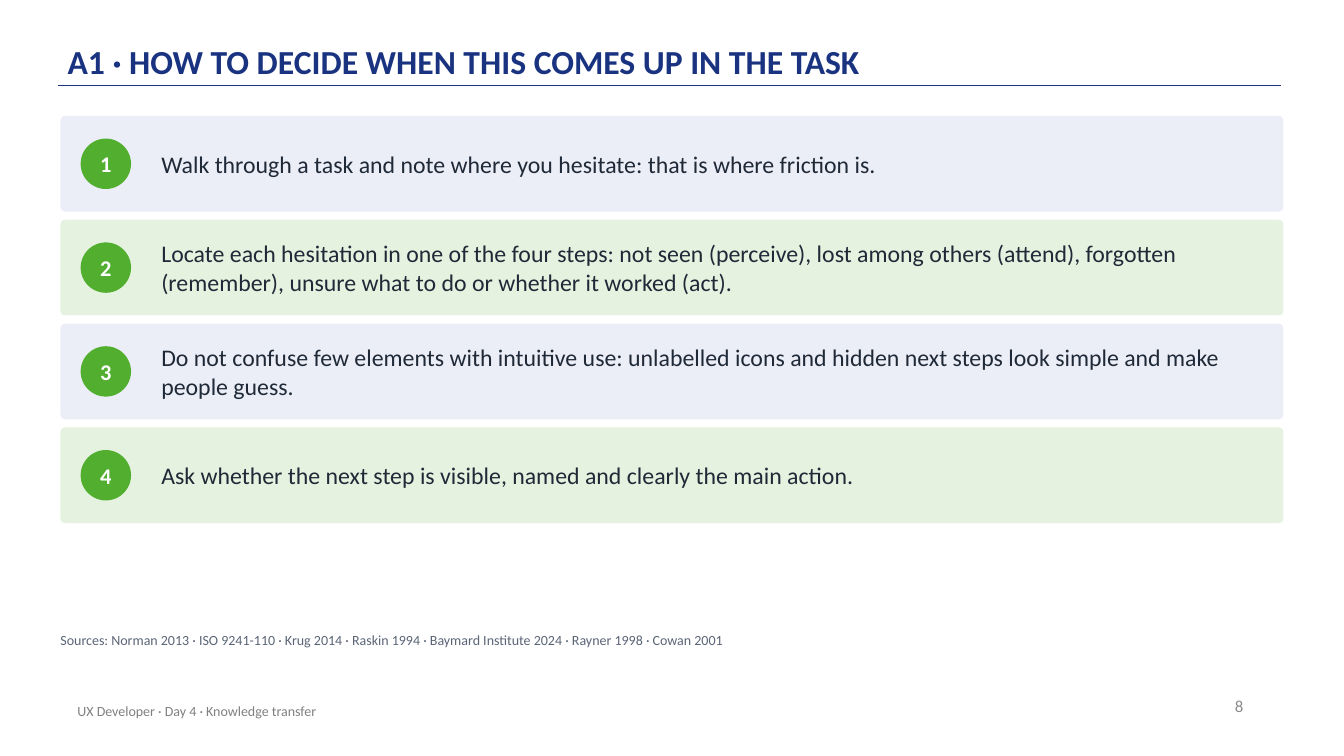
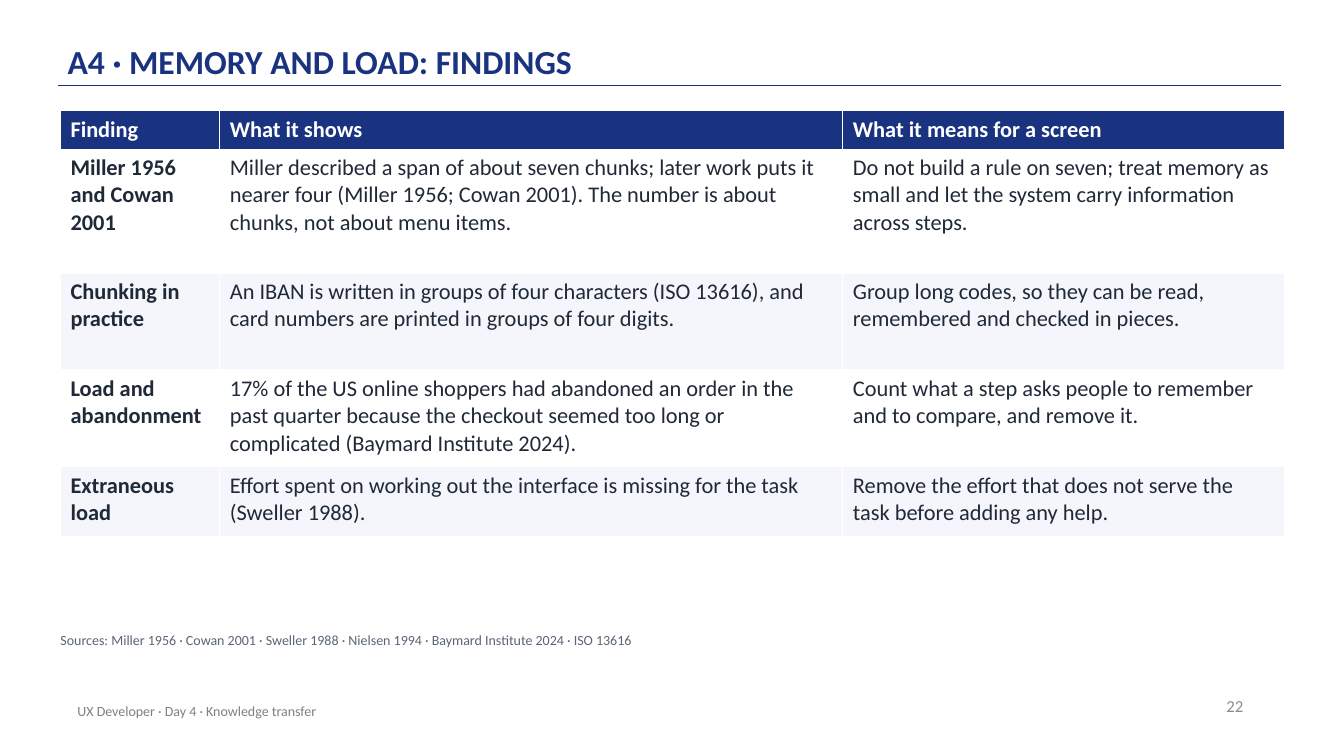
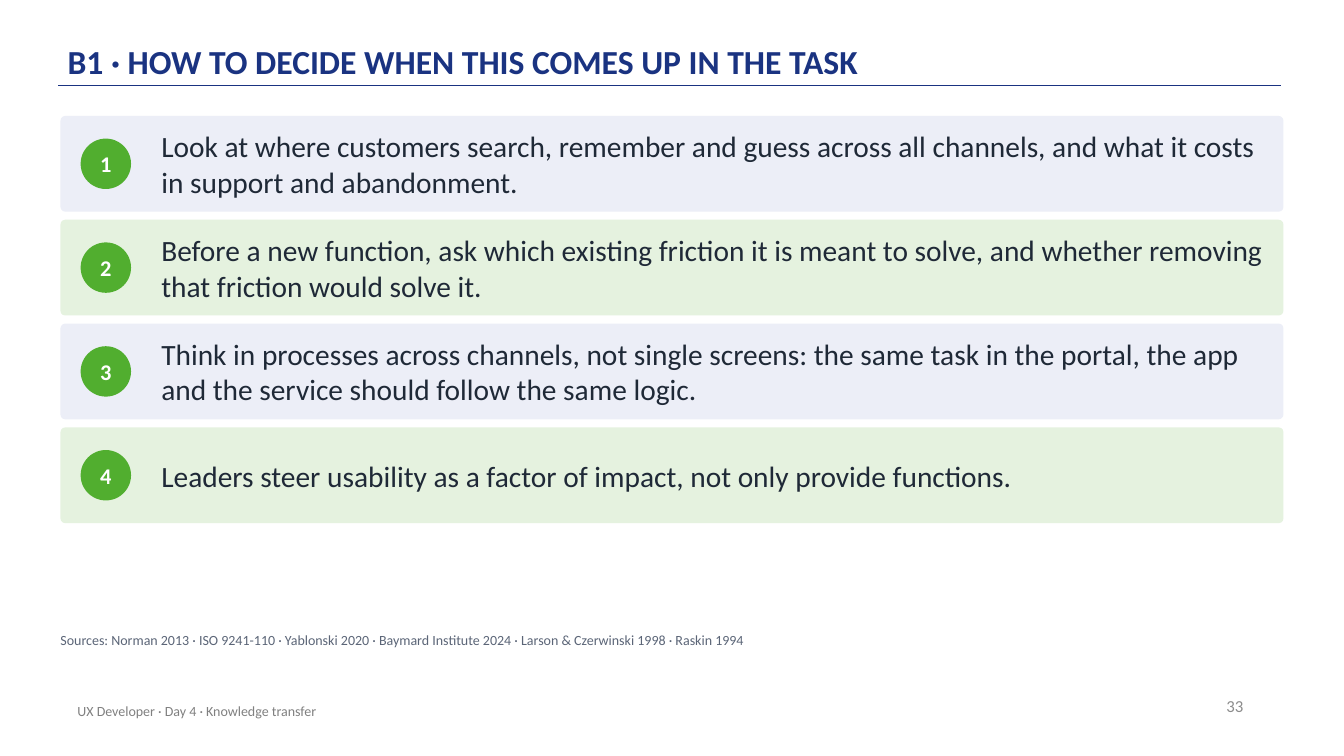
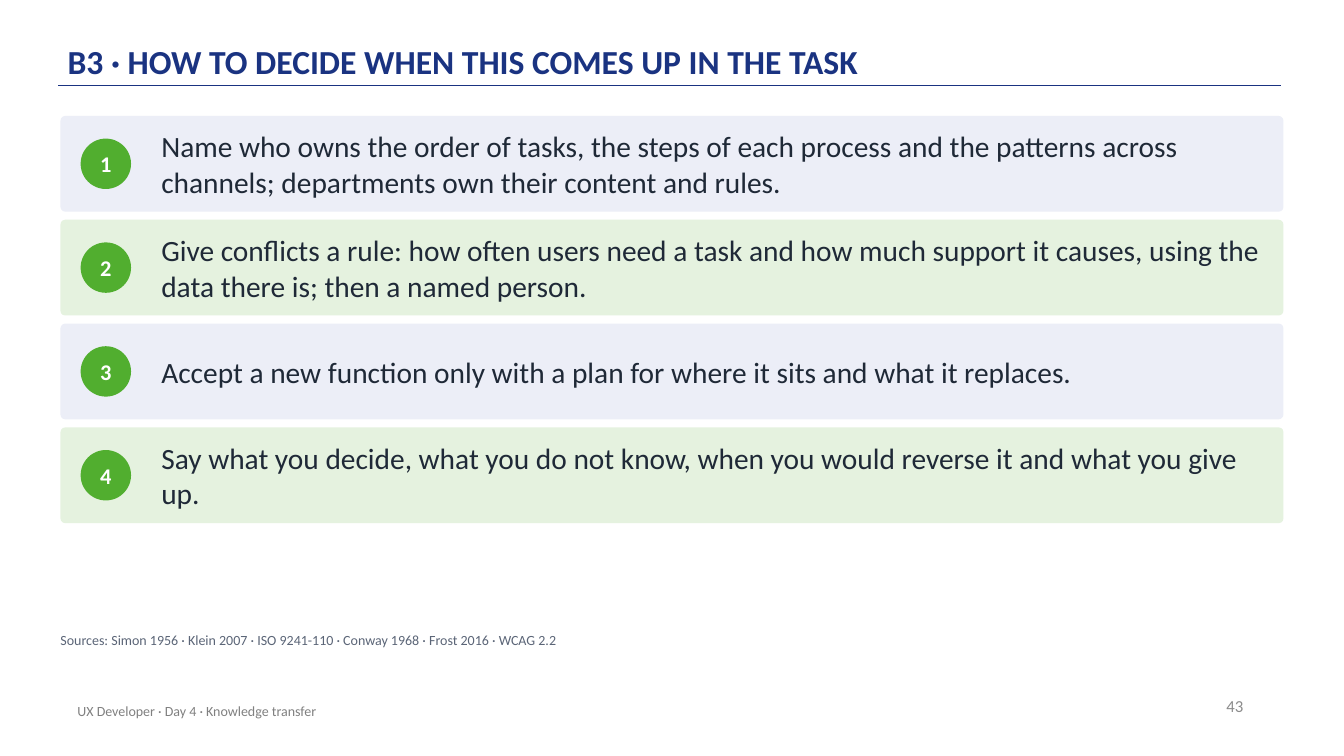
from pptx import Presentation
from pptx.dml.color import RGBColor
from pptx.enum.shapes import MSO_CONNECTOR, MSO_SHAPE
from pptx.enum.text import MSO_ANCHOR, MSO_AUTO_SIZE, PP_ALIGN
from pptx.oxml.ns import qn
from pptx.util import Inches, Pt
from lxml.etree import SubElement

FONT = "Calibri"
NAVY = "1A3381"
GREEN = "51AE2F"
INK = "1F2937"
WHITE = "FFFFFF"
SOURCE_GREY = "5B6577"
FOOTER_GREY = "808080"
NUMBER_GREY = "8C8C8C"
CARD_FILLS = ("ECEEF7", "E5F2DF")
ROW_FILLS = (WHITE, "F4F6FB")

LEFT, WIDTH = 0.6, 12.13
CARD_TOP, CARD_HEIGHT, CARD_GAP = 1.15, 0.95, 0.08
BADGE_SIZE = 0.5
TABLE_TOP = 1.1
COLUMN_WIDTHS = (1.58, 6.18, 4.38)
ROW_HEIGHTS = (0.38, 1.23, 0.96, 0.96, 0.69)

FOOTER = "UX Developer · Day 4 · Knowledge transfer"
DECISION_TITLE = "HOW TO DECIDE WHEN THIS COMES UP IN THE TASK"

A1_STEPS = (
    "Walk through a task and note where you hesitate: that is where friction is.",
    "Locate each hesitation in one of the four steps: not seen (perceive), lost among others "
    "(attend), forgotten (remember), unsure what to do or whether it worked (act).",
    "Do not confuse few elements with intuitive use: unlabelled icons and hidden next steps "
    "look simple and make people guess.",
    "Ask whether the next step is visible, named and clearly the main action.",
)
B1_STEPS = (
    "Look at where customers search, remember and guess across all channels, and what it costs "
    "in support and abandonment.",
    "Before a new function, ask which existing friction it is meant to solve, and whether "
    "removing that friction would solve it.",
    "Think in processes across channels, not single screens: the same task in the portal, the "
    "app and the service should follow the same logic.",
    "Leaders steer usability as a factor of impact, not only provide functions.",
)
B3_STEPS = (
    "Name who owns the order of tasks, the steps of each process and the patterns across "
    "channels; departments own their content and rules.",
    "Give conflicts a rule: how often users need a task and how much support it causes, using "
    "the data there is; then a named person.",
    "Accept a new function only with a plan for where it sits and what it replaces.",
    "Say what you decide, what you do not know, when you would reverse it and what you give up.",
)
FINDINGS = (
    ("Finding", "What it shows", "What it means for a screen"),
    ("Miller 1956 and Cowan 2001",
     "Miller described a span of about seven chunks; later work puts it nearer four (Miller "
     "1956; Cowan 2001). The number is about chunks, not about menu items.",
     "Do not build a rule on seven; treat memory as small and let the system carry information "
     "across steps."),
    ("Chunking in practice",
     "An IBAN is written in groups of four characters (ISO 13616), and card numbers are printed "
     "in groups of four digits.",
     "Group long codes, so they can be read, remembered and checked in pieces."),
    ("Load and abandonment",
     "17% of the US online shoppers had abandoned an order in the past quarter because the "
     "checkout seemed too long or complicated (Baymard Institute 2024).",
     "Count what a step asks people to remember and to compare, and remove it."),
    ("Extraneous load",
     "Effort spent on working out the interface is missing for the task (Sweller 1988).",
     "Remove the effort that does not serve the task before adding any help."),
)


def color(hex_value):
    return RGBColor.from_string(hex_value)


def inches(*lengths):
    return [Inches(length) for length in lengths]


def write(frame, text, size=16, fill=INK, bold=False, align=PP_ALIGN.LEFT,
          space_after=None, line_spacing=None):
    """Set the text of a frame or table cell as one formatted paragraph."""
    frame.text = text
    paragraph = getattr(frame, "text_frame", frame).paragraphs[0]
    paragraph.alignment = align
    if space_after is not None:
        paragraph.space_after = Pt(space_after)
    if line_spacing is not None:
        paragraph.line_spacing = line_spacing
    font = paragraph.font
    font.name, font.size, font.bold = FONT, Pt(size), bold
    font.color.rgb = color(fill)


def set_frame(frame, anchor, margins=None):
    """Wrap and anchor a frame; margins are horizontal and vertical."""
    frame.word_wrap = True
    frame.auto_size = MSO_AUTO_SIZE.NONE
    frame.vertical_anchor = anchor
    if margins is not None:
        horizontal, vertical = inches(*margins)
        frame.margin_left = frame.margin_right = horizontal
        frame.margin_top = frame.margin_bottom = vertical


def add_text(slide, box, text, anchor=MSO_ANCHOR.MIDDLE, margins=None, **style):
    frame = slide.shapes.add_textbox(*inches(*box)).text_frame
    set_frame(frame, anchor, margins)
    write(frame, text, **style)


def add_filled_shape(slide, kind, box, fill):
    shape = slide.shapes.add_shape(kind, *inches(*box))
    shape.shadow.inherit = False
    shape.fill.solid()
    shape.fill.fore_color.rgb = color(fill)
    shape.line.fill.background()
    return shape


def add_title_rule(slide):
    rule = slide.shapes.add_connector(MSO_CONNECTOR.STRAIGHT, *inches(0.58, 0.85, 12.71, 0.85))
    rule.line.color.rgb = color(NAVY)
    rule.line.width = Pt(1)
    SubElement(rule.element.spPr, qn("a:effectLst"))


def add_content_slide(presentation, title, number, sources):
    """Add a slide with the title, rule, footer, number and sources all slides share."""
    slide = presentation.slides.add_slide(presentation.slide_layouts[5])
    add_title_rule(slide)
    heading = slide.shapes.title
    heading.left, heading.top, heading.width, heading.height = inches(0.67, 0.12, 11, 0.72)
    set_frame(heading.text_frame, MSO_ANCHOR.BOTTOM, margins=(0, 0.03))
    write(heading.text_frame, title, size=24, fill=NAVY, bold=True, line_spacing=0.9)
    add_text(slide, (9.43, 6.8, 3, 0.4), str(number), size=12, fill=NUMBER_GREY,
             align=PP_ALIGN.RIGHT)
    add_text(slide, (0.67, 6.85, 6.7, 0.4), FOOTER, size=10, fill=FOOTER_GREY)
    add_text(slide, (LEFT, 6.27, 12.1, 0.3), "Sources: " + " · ".join(sources),
             anchor=MSO_ANCHOR.TOP, margins=(0, 0), size=10, fill=SOURCE_GREY, space_after=6)
    return slide


def add_step_card(slide, index, text, size):
    top = CARD_TOP + index * (CARD_HEIGHT + CARD_GAP)
    card = add_filled_shape(slide, MSO_SHAPE.ROUNDED_RECTANGLE,
                            (LEFT, top, WIDTH, CARD_HEIGHT), CARD_FILLS[index % 2])
    card.adjustments[0] = 0.05
    badge_top = top + (CARD_HEIGHT - BADGE_SIZE) / 2
    badge = add_filled_shape(slide, MSO_SHAPE.OVAL,
                             (LEFT + 0.2, badge_top, BADGE_SIZE, BADGE_SIZE), GREEN)
    set_frame(badge.text_frame, MSO_ANCHOR.MIDDLE, margins=(0, 0))
    write(badge.text_frame, str(index + 1), fill=WHITE, bold=True, align=PP_ALIGN.CENTER)
    add_text(slide, (LEFT + 1, top, WIDTH - 1.2, CARD_HEIGHT), text, margins=(0, 0), size=size)


def add_decision_slide(presentation, section, number, steps, sources, size=21):
    slide = add_content_slide(presentation, f"{section} · {DECISION_TITLE}", number, sources)
    for index, text in enumerate(steps):
        add_step_card(slide, index, text, size)


def add_findings_table(slide, rows):
    box = inches(LEFT, TABLE_TOP, WIDTH, sum(ROW_HEIGHTS))
    table = slide.shapes.add_table(len(rows), len(COLUMN_WIDTHS), *box).table
    table.horz_banding = False
    for column, width in zip(table.columns, COLUMN_WIDTHS):
        column.width = Inches(width)
    for row_index, (row, height, texts) in enumerate(zip(table.rows, ROW_HEIGHTS, rows)):
        row.height = Inches(height)
        header = row_index == 0
        for column_index, (cell, text) in enumerate(zip(row.cells, texts)):
            cell.fill.solid()
            cell.fill.fore_color.rgb = color(NAVY if header else ROW_FILLS[(row_index - 1) % 2])
            write(cell, text, fill=WHITE if header else INK, bold=header or column_index == 0)


def main():
    presentation = Presentation()
    presentation.slide_width, presentation.slide_height = inches(13.33, 7.5)
    add_decision_slide(presentation, "A1", 8, A1_STEPS, (
        "Norman 2013", "ISO 9241-110", "Krug 2014", "Raskin 1994", "Baymard Institute 2024",
        "Rayner 1998", "Cowan 2001"), size=17)
    findings = add_content_slide(presentation, "A4 · MEMORY AND LOAD: FINDINGS", 22, (
        "Miller 1956", "Cowan 2001", "Sweller 1988", "Nielsen 1994", "Baymard Institute 2024",
        "ISO 13616"))
    add_findings_table(findings, FINDINGS)
    add_decision_slide(presentation, "B1", 33, B1_STEPS, (
        "Norman 2013", "ISO 9241-110", "Yablonski 2020", "Baymard Institute 2024",
        "Larson & Czerwinski 1998", "Raskin 1994"))
    add_decision_slide(presentation, "B3", 43, B3_STEPS, (
        "Simon 1956", "Klein 2007", "ISO 9241-110", "Conway 1968", "Frost 2016", "WCAG 2.2"))
    presentation.save("out.pptx")


if __name__ == "__main__":
    main()
